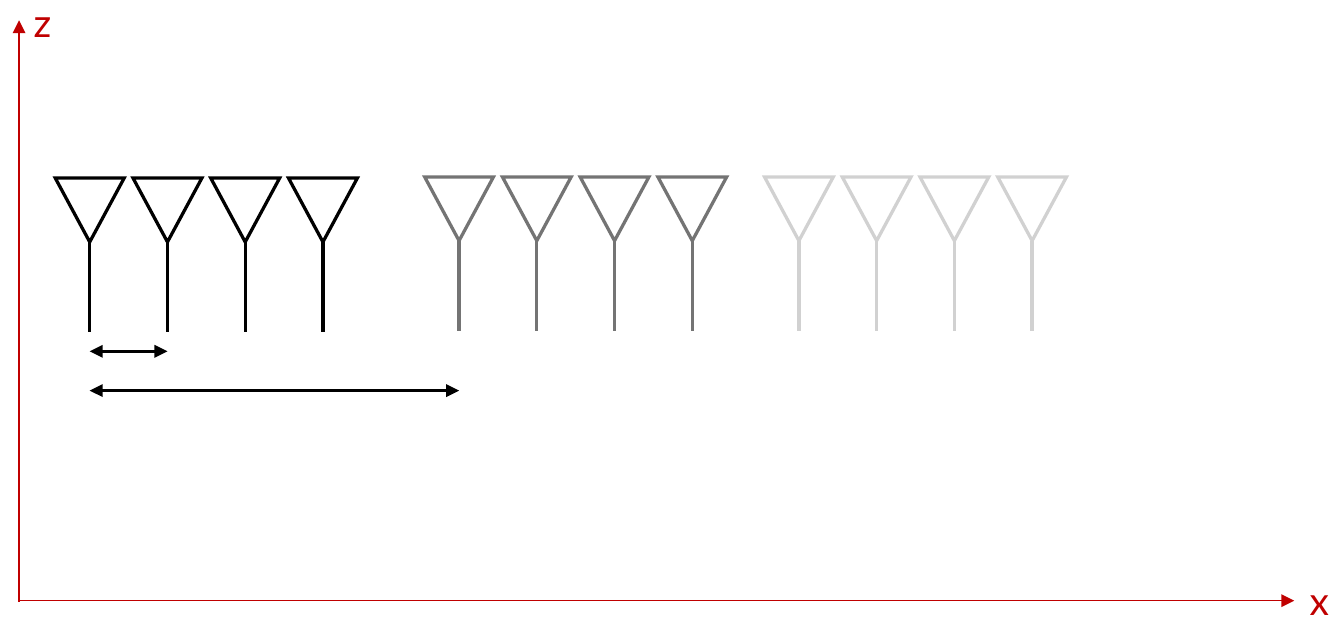
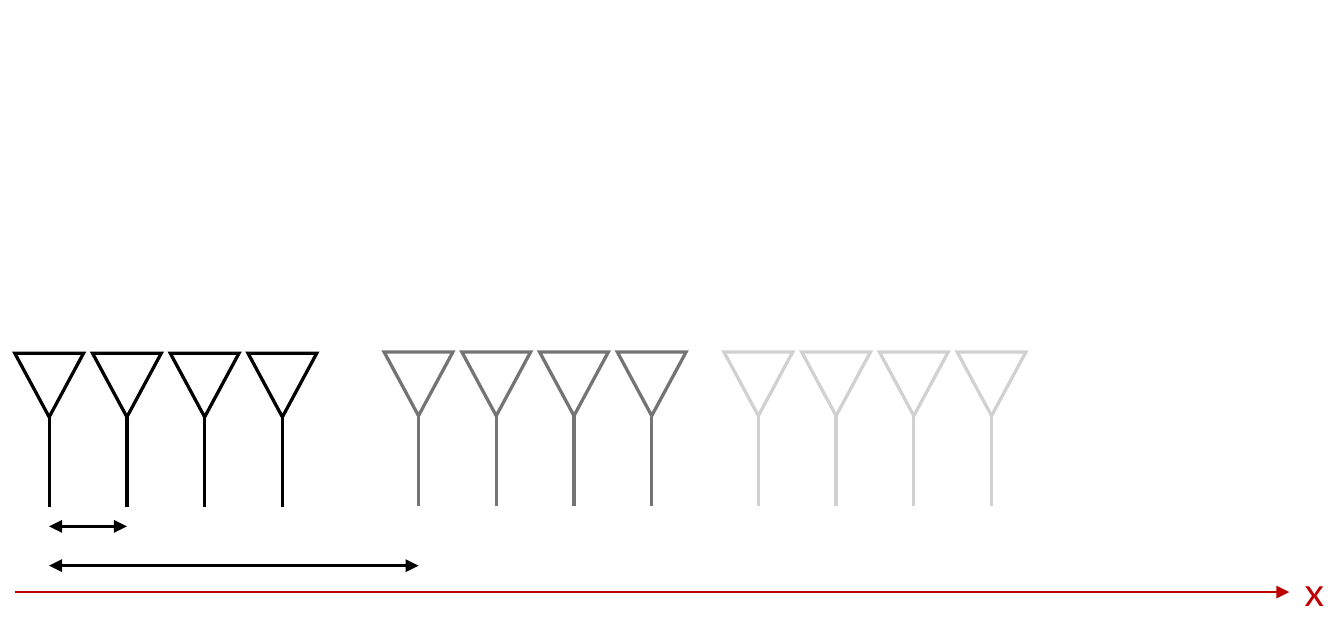
"""Build two slides showing antenna subarrays spaced along an axis."""
import pptx
import pptx.dml.color
import pptx.enum.shapes
import pptx.oxml.ns
import pptx.util
from lxml import etree

Cm = pptx.util.Cm
Pt = pptx.util.Pt
SHAPE = pptx.enum.shapes.MSO_SHAPE
STRAIGHT = pptx.enum.shapes.MSO_CONNECTOR.STRAIGHT

BLACK, RED, FONT = "000000", "C00000", "Lato"
SUBARRAYS = [
    {"dx": 0, "dy": 0, "color": BLACK},
    {"dx": 6.01, "dy": -0.02, "color": "747474"},
    {"dx": 11.54, "dy": -0.02, "color": "D1D1D1"},
]
ANTENNAS, PITCH = 4, 1.265
HORN_W, HORN_H, STEM_H = 1.12, 1.04, 1.47
SPACINGS = [(PITCH, 2.82), (SUBARRAYS[1]["dx"], 3.46)]
LABEL_W, LABEL_H = 0.61, 1.02

SLIDES = [
    {
        "array": (0.9, 2.9),
        "axes": [((0.31, 9.8), (0.31, 0.33)), ((0.31, 9.78), (21.06, 9.78))],
        "labels": [("x", 21.06, 9.27), ("z", 0.3, -0.15)],
    },
    {
        "array": (0.24, 5.75),
        "axes": [((0.24, 9.64), (20.98, 9.64))],
        "labels": [("x", 20.98, 9.12)],
    },
]


def rgb(color):
    return pptx.dml.color.RGBColor.from_string(color)


def add_child(parent, tag, **attrs):
    return etree.SubElement(parent, pptx.oxml.ns.qn(tag), attrs)


def add_line(shapes, start, end, color, width=1.5, ends=()):
    line = shapes.add_connector(STRAIGHT, *map(Cm, start + end))
    line.line.color.rgb = rgb(color)
    line.line.width = Pt(width)
    ln = line.line._get_or_add_ln()
    for tag in ends:
        add_child(ln, tag, type="triangle")
    add_child(line._element.spPr, "a:effectLst")


def add_antenna(s, x, y, color):
    grp = s.shapes.add_group_shape()
    horn = grp.shapes.add_shape(SHAPE.ISOSCELES_TRIANGLE, *map(Cm, (x, y, HORN_W, HORN_H)))
    horn.rotation = 180
    horn.shadow.inherit = False
    horn.fill.background()
    horn.line.color.rgb = rgb(color)
    horn.line.width = Pt(1.5)
    add_child(horn.line._get_or_add_ln(), "a:miter", lim="800000")
    center, tip = x + HORN_W / 2, y + HORN_H
    add_line(grp.shapes, (center, tip), (center, tip + STEM_H), color)


def add_label(s, text, x, y):
    tf = s.shapes.add_textbox(*map(Cm, (x, y, LABEL_W, LABEL_H))).text_frame
    tf.word_wrap = True
    tf.text = text
    font = tf.paragraphs[0].runs[0].font
    font.name = FONT
    font.size = Pt(18)
    font.color.rgb = rgb(RED)


def add_array_slide(prs, array, axes, labels):
    s = prs.slides.add_slide(prs.slide_layouts[6])
    left, top = array
    for sub in SUBARRAYS:
        for i in range(ANTENNAS):
            add_antenna(s, left + sub["dx"] + i * PITCH, top + sub["dy"], sub["color"])
    first = left + HORN_W / 2
    for length, drop in SPACINGS:
        add_line(s.shapes, (first, top + drop), (first + length, top + drop), BLACK,
                 ends=("a:headEnd", "a:tailEnd"))
    for start, end in axes:
        add_line(s.shapes, start, end, RED, 0.75, ("a:tailEnd",))
    for label in labels:
        add_label(s, *label)


def main():
    prs = pptx.Presentation()
    prs.slide_width, prs.slide_height = Cm(21.87), Cm(10.16)
    for content in SLIDES:
        add_array_slide(prs, **content)
    prs.save("out.pptx")


if __name__ == "__main__":
    main()
